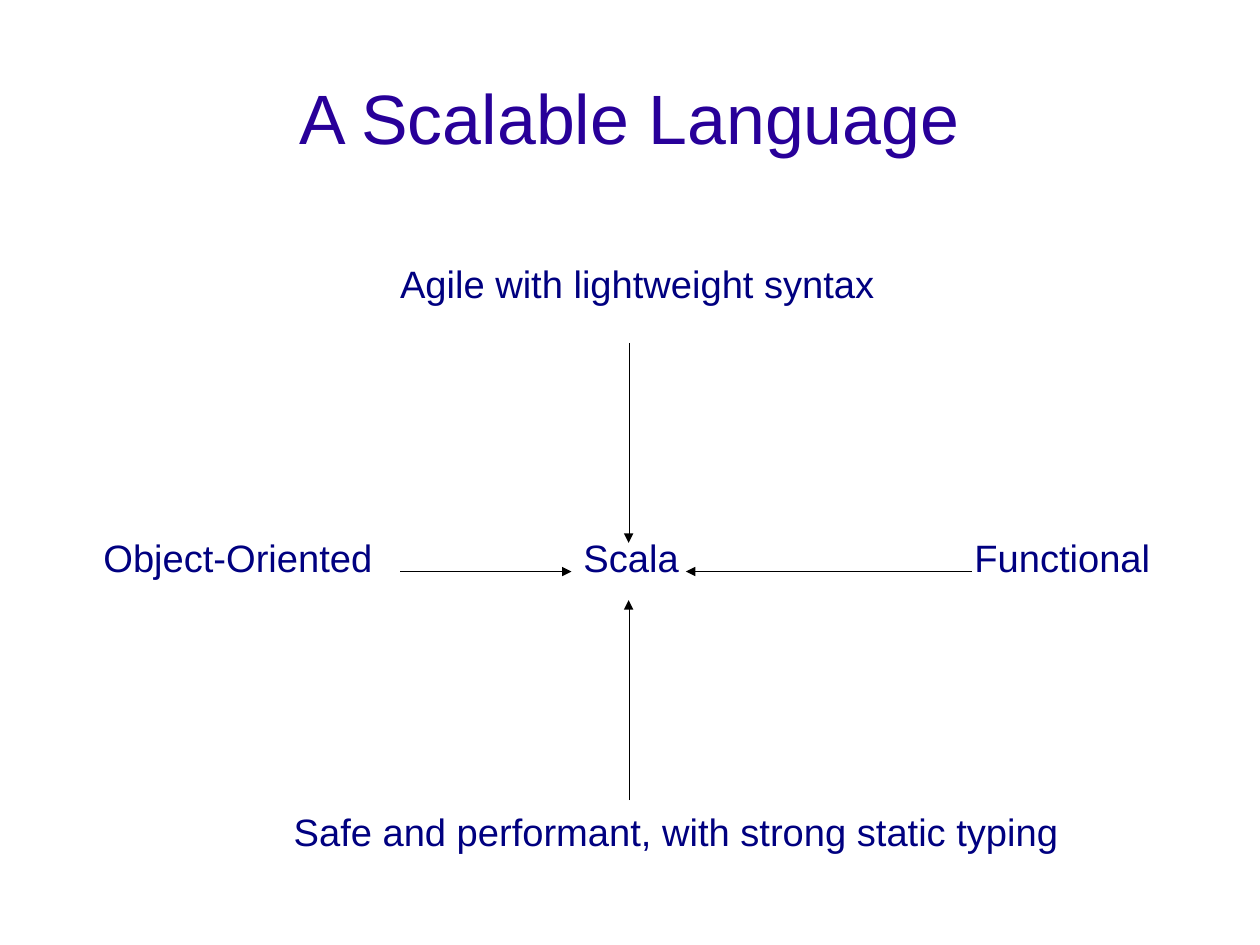
from dataclasses import dataclass

import pptx
import pptx.dml.color
import pptx.enum.shapes
import pptx.enum.text
import pptx.oxml.ns
import pptx.util
from lxml import etree


@dataclass(frozen=True)
class Theme:
    """Colours, font and type sizes of the slide."""
    font: str = "Arial"
    title_color: str = "280099"
    label_color: str = "000080"
    line_color: str = "000000"
    title_size: int = 44
    label_size: int = 24


THEME = Theme()
SLIDE_WIDTH_CM, SLIDE_HEIGHT_CM = 28, 21
TITLE_BOX = (0.55, 0.38, 9.92, 1.28)
DIAGRAM_BOX = (0.5, 2, 10, 6)
COLUMNS, ROWS = 20, 12
LABEL_ROWS = 0.8
TOP_ROW, MIDDLE_ROW, BOTTOM_ROW = 0.55, 5.36, 10.14

LABELS = [
    ("Agile with lightweight syntax", 6, TOP_ROW, 9),
    ("Object-Oriented", 0.81, MIDDLE_ROW, 5),
    ("Scala", 9.21, MIDDLE_ROW, 2),
    ("Functional", 16.05, MIDDLE_ROW, 3.9),
    ("Safe and performant, with strong static typing", 4.14, BOTTOM_ROW, 14),
]
ARROWS = [
    (10, 2, 10, 5.5),
    (6, 6, 9, 6),
    (10, 10, 10, 6.5),
    (16, 6, 11, 6),
]


def write_text(shape, text, size, color, alignment, anchor):
    """Fill a shape with one formatted paragraph and no margins."""
    frame = shape.text_frame
    frame.text = text
    frame.word_wrap = True
    frame.auto_size = pptx.enum.text.MSO_AUTO_SIZE.NONE
    frame.vertical_anchor = anchor
    frame.margin_left = frame.margin_right = 0
    frame.margin_top = frame.margin_bottom = 0
    paragraph = frame.paragraphs[0]
    paragraph.alignment = alignment
    paragraph.font.name = THEME.font
    paragraph.font.size = pptx.util.Pt(size)
    paragraph.font.color.rgb = pptx.dml.color.RGBColor.from_string(color)


def add_title(slide, box):
    """Place the title placeholder in its box."""
    title = slide.shapes.title
    title.left, title.top, title.width, title.height = map(pptx.util.Inches, box)
    write_text(title, "A Scalable Language", THEME.title_size, THEME.title_color,
               pptx.enum.text.PP_ALIGN.CENTER, pptx.enum.text.MSO_ANCHOR.MIDDLE)


def add_arrow(slide, ends):
    """Draw a hairline that ends in a triangle."""
    connector = slide.shapes.add_connector(
        pptx.enum.shapes.MSO_CONNECTOR.STRAIGHT, *ends)
    connector.line.color.rgb = pptx.dml.color.RGBColor.from_string(THEME.line_color)
    properties = connector._element.spPr
    outline = properties.find(pptx.oxml.ns.qn("a:ln"))
    outline.set("w", "0")
    etree.SubElement(outline, pptx.oxml.ns.qn("a:tailEnd"), type="triangle")
    etree.SubElement(properties, pptx.oxml.ns.qn("a:effectLst"))


def add_diagram(slide, box):
    """Place the labels and the arrows that point at the centre."""
    left, top, width, height = box

    def across(columns):
        """Convert grid columns to a length."""
        return pptx.util.Inches(columns * width / COLUMNS)

    def down(rows):
        """Convert grid rows to a length."""
        return pptx.util.Inches(rows * height / ROWS)

    origin_x, origin_y = pptx.util.Inches(left), pptx.util.Inches(top)
    for text, column, row, span in LABELS:
        label = slide.shapes.add_textbox(
            origin_x + across(column), origin_y + down(row),
            across(span), down(LABEL_ROWS))
        write_text(label, text, THEME.label_size, THEME.label_color,
                   pptx.enum.text.PP_ALIGN.LEFT, pptx.enum.text.MSO_ANCHOR.TOP)
    for start_column, start_row, end_column, end_row in ARROWS:
        add_arrow(slide, (origin_x + across(start_column), origin_y + down(start_row),
                          origin_x + across(end_column), origin_y + down(end_row)))


def main():
    """Build and save the presentation."""
    presentation = pptx.Presentation()
    presentation.slide_width = pptx.util.Cm(SLIDE_WIDTH_CM)
    presentation.slide_height = pptx.util.Cm(SLIDE_HEIGHT_CM)
    slide = presentation.slides.add_slide(
        presentation.slide_layouts.get_by_name("Title Only"))
    add_title(slide, TITLE_BOX)
    add_diagram(slide, DIAGRAM_BOX)
    presentation.save("out.pptx")


if __name__ == "__main__":
    main()
